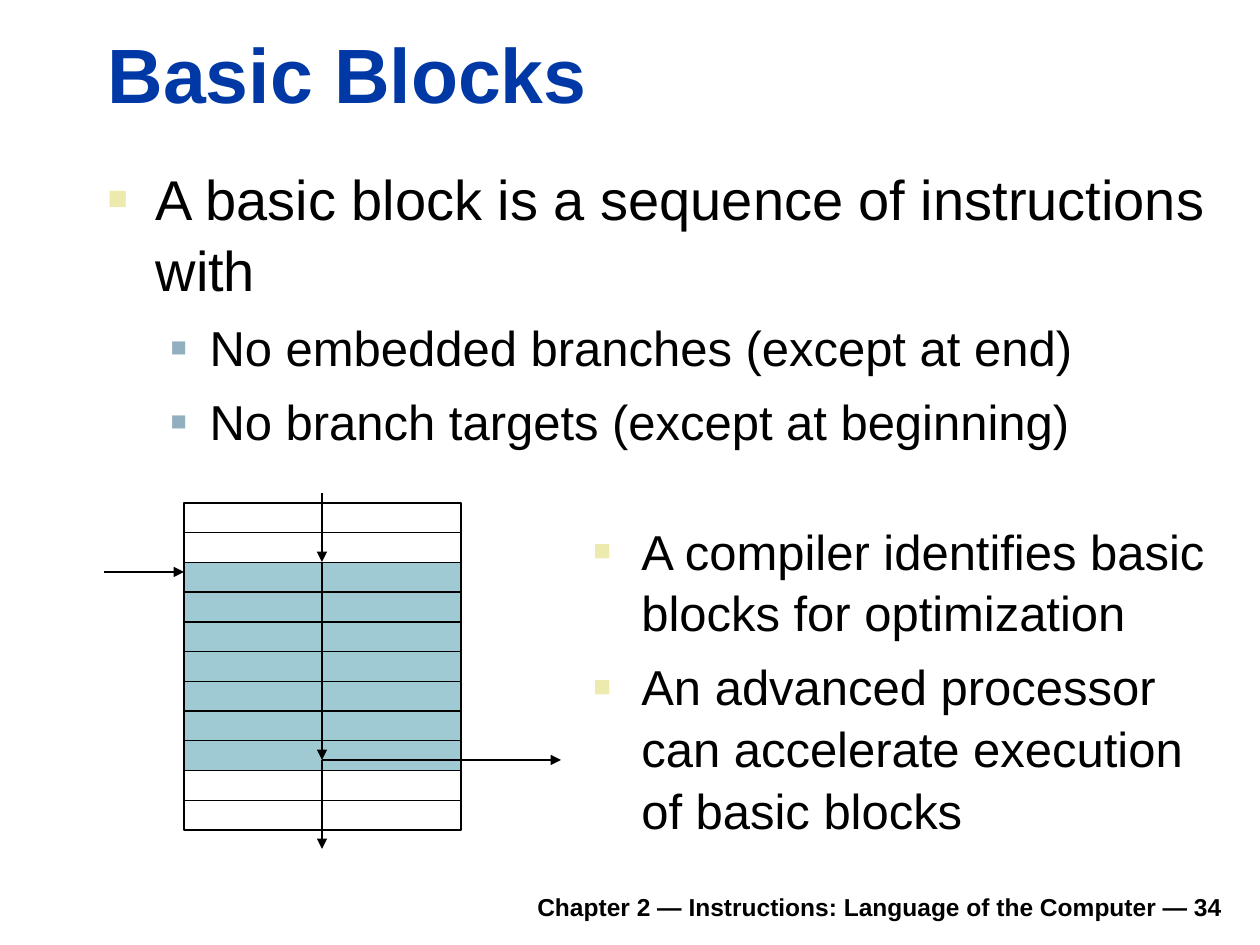
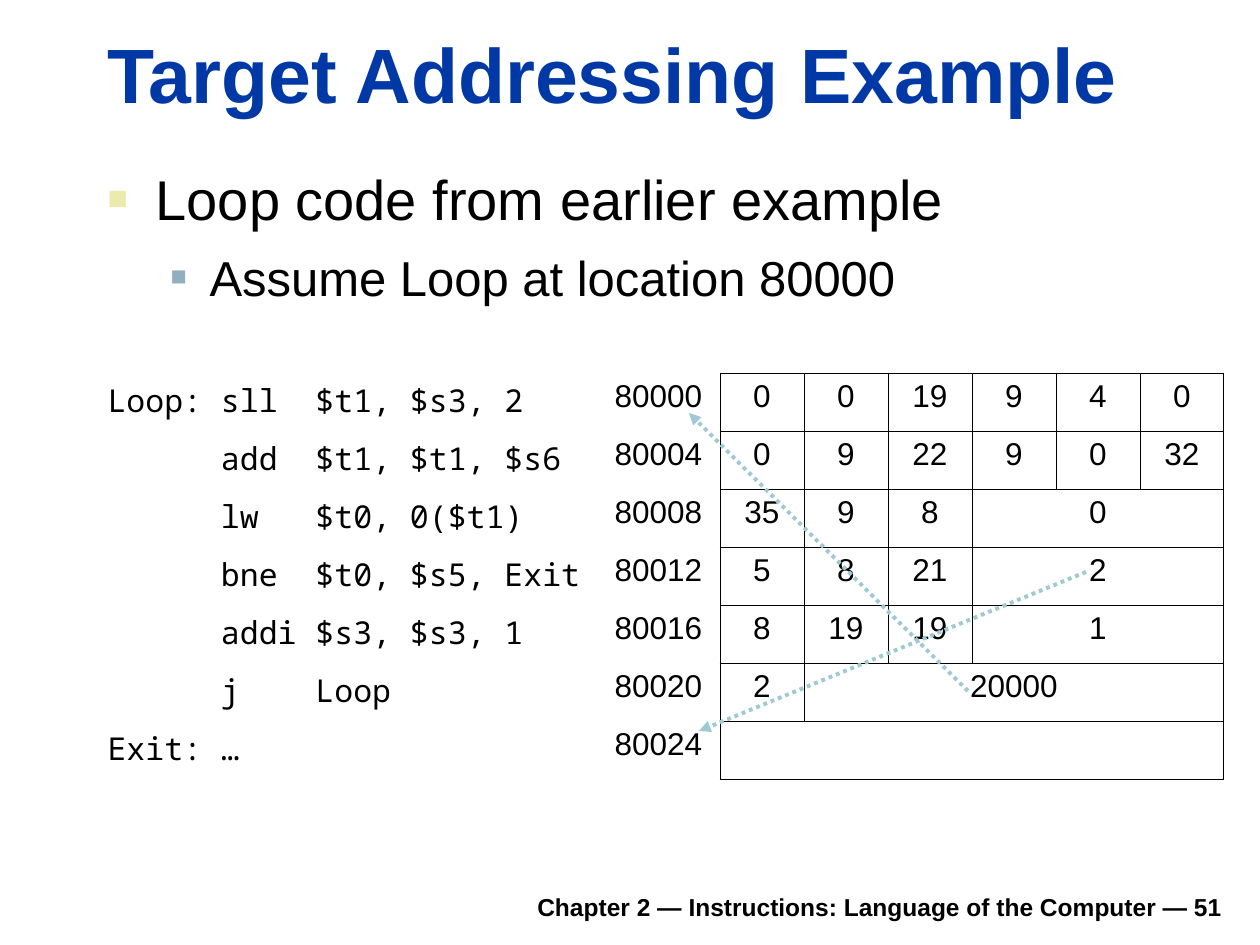
import pptx
import pptx.dml.color
import pptx.enum.dml
import pptx.enum.shapes
import pptx.enum.text
import pptx.oxml.ns
import pptx.util
from lxml import etree

RGBColor = pptx.dml.color.RGBColor
ALIGN = pptx.enum.text.PP_ALIGN
ANCHOR = pptx.enum.text.MSO_ANCHOR
qn = pptx.oxml.ns.qn

BLACK = RGBColor(0x00, 0x00, 0x00)
WHITE = RGBColor(0xFF, 0xFF, 0xFF)
TITLE_BLUE = RGBColor(0x00, 0x39, 0xA6)
TEAL = RGBColor(0x9F, 0xCA, 0xD3)
BULLET_YELLOW = RGBColor(0xEC, 0xEA, 0xAC)
BULLET_BLUE = RGBColor(0x91, 0xAF, 0xBF)

SANS = "Arial"
MONO = "Noto Sans Mono"
PX_PER_INCH = 126

# level: font size, space before, left margin px, indent px, bullet colour, bullet percent
LEVELS = [
    dict(size=32, before=8, margin=48, indent=-48, colour=BULLET_YELLOW, percent=60),
    dict(size=28, before=7, margin=102, indent=-39, colour=BULLET_BLUE, percent=55),
]
SIDE_LEVEL = LEVELS[0] | dict(size=28, before=7)


def px(length):
    return pptx.util.Emu(round(length * 914400 / PX_PER_INCH))


def child(parent, tag, **attributes):
    return etree.SubElement(parent, qn(tag), **attributes)


def write(paragraph, text, size=18, font=SANS, colour=BLACK, bold=False, align=ALIGN.LEFT):
    """Set the alignment and add one formatted run."""
    paragraph.alignment = align
    run = paragraph.add_run()
    run.text = text
    run.font.size = pptx.util.Pt(size)
    run.font.name = font
    run.font.bold = bold
    run.font.color.rgb = colour


def add_bullet(paragraph, style):
    properties = paragraph._p.get_or_add_pPr()
    properties.set("marL", str(px(style["margin"])))
    properties.set("indent", str(px(style["indent"])))
    bullet_colour = child(properties, "a:buClr")
    child(bullet_colour, "a:srgbClr", val=str(style["colour"]))
    child(properties, "a:buSzPct", val=str(style["percent"] * 1000))
    child(properties, "a:buFont", typeface=SANS)
    child(properties, "a:buChar", char="■")


def fill_list(frame, items):
    """Write (text, level number, level style) items as bulleted paragraphs."""
    for number, (text, level, style) in enumerate(items):
        paragraph = frame.add_paragraph() if number else frame.paragraphs[0]
        paragraph.level = level
        add_bullet(paragraph, style)
        paragraph.line_spacing = 1.05
        paragraph.space_before = pptx.util.Pt(style["before"] if number else 0)
        write(paragraph, text, size=style["size"])


def set_borders(cell, **colours):
    """Draw cell edges, given as lnL, lnR, lnT and lnB colours."""
    properties = cell._tc.get_or_add_tcPr()
    for position, edge in enumerate(("lnL", "lnR", "lnT", "lnB")):
        line = etree.Element(qn("a:" + edge), w=str(pptx.util.Pt(0.45)))
        solid = child(line, "a:solidFill")
        child(solid, "a:srgbClr", val=str(colours[edge]))
        properties.insert(position, line)


class Deck:
    def __init__(self):
        self.presentation = pptx.Presentation()
        self.presentation.slide_width = px(1260)
        self.presentation.slide_height = px(945)
        self.slide = None

    def new_slide(self, title, number, outline, outline_height):
        layout = self.presentation.slide_layouts[1]
        self.slide = self.presentation.slides.add_slide(layout)
        heading = self.place(self.slide.shapes.title, 95, 20, 1138, 105)
        heading.vertical_anchor = ANCHOR.BOTTOM
        write(heading.paragraphs[0], title, size=44, colour=TITLE_BLUE, bold=True)
        body = self.place(self.slide.placeholders[1], 95, 155, 1139, outline_height)
        fill_list(body, [(text, level, LEVELS[level]) for text, level in outline])
        footer = self.text_box(233, 879, 1002, 49)
        footer.vertical_anchor = ANCHOR.BOTTOM
        write(footer.paragraphs[0],
              f"Chapter 2 — Instructions: Language of the Computer — {number}",
              size=14, bold=True, align=ALIGN.RIGHT)

    def place(self, shape, left, top, width, height):
        """Move a text shape and return its wrapped text frame."""
        shape.left, shape.top = px(left), px(top)
        shape.width, shape.height = px(width), px(height)
        frame = shape.text_frame
        frame.word_wrap = True
        frame.auto_size = pptx.enum.text.MSO_AUTO_SIZE.NONE
        return frame

    def text_box(self, left, top, width, height):
        box = self.slide.shapes.add_textbox(0, 0, 0, 0)
        return self.place(box, left, top, width, height)

    def rectangle(self, left, top, width, height, fill=None):
        shape = self.slide.shapes.add_shape(
            pptx.enum.shapes.MSO_SHAPE.RECTANGLE,
            px(left), px(top), px(width), px(height))
        shape.shadow.inherit = False
        if fill is None:
            shape.fill.background()
        else:
            shape.fill.solid()
            shape.fill.fore_color.rgb = fill
        shape.line.color.rgb = BLACK
        shape.line.width = pptx.util.Pt(0.75)

    def arrow(self, start, end, colour=BLACK, width=1.5, dash=None):
        connector = self.slide.shapes.add_connector(
            pptx.enum.shapes.MSO_CONNECTOR.STRAIGHT, *map(px, start + end))
        connector.line.color.rgb = colour
        connector.line.width = pptx.util.Pt(width)
        if dash is not None:
            connector.line.dash_style = dash
        child(connector.line._get_or_add_ln(), "a:tailEnd", type="triangle")
        child(connector._element.spPr, "a:effectLst")

    def table(self, left, top, widths, row_height, rows):
        """Add (code, address, fields) rows; the last field spans the columns left over."""
        table = self.slide.shapes.add_table(
            len(rows), len(widths), px(left), px(top),
            px(sum(widths)), px(row_height * len(rows))).table
        table.first_row = table.horz_banding = False
        for column, width in zip(table.columns, widths):
            column.width = px(width)
        for y, (code, address, fields) in enumerate(rows):
            table.rows[y].height = px(row_height)
            texts = [code, address, *fields]
            for x in range(len(widths)):
                cell = table.cell(y, x)
                cell.fill.background()
                outer = BLACK if x > 1 else WHITE
                set_borders(cell, lnL=outer, lnT=outer, lnB=outer,
                            lnR=BLACK if x else WHITE)
                if x < len(texts) and texts[x]:
                    write(cell.text_frame.paragraphs[0], texts[x],
                          font=SANS if x else MONO,
                          align=ALIGN.CENTER if x > 1 else ALIGN.LEFT)
            if len(texts) < len(widths):
                table.cell(y, len(texts) - 1).merge(table.cell(y, len(widths) - 1))


def basic_blocks(deck):
    deck.new_slide("Basic Blocks", 34, [
        ("A basic block is a sequence of instructions with", 0),
        ("No embedded branches (except at end)", 1),
        ("No branch targets (except at beginning)", 1),
    ], 318)

    instructions, stack_top, stack_height = 11, 503, 327
    pitch = stack_height / instructions
    for i in range(instructions):
        in_block = 2 <= i <= 8
        deck.rectangle(184, stack_top + i * pitch, 277, pitch, TEAL if in_block else None)

    flow_x, block_entry, block_exit = 322, 562, 760
    for start, end in [
        ((flow_x, 493), (flow_x, block_entry)),
        ((flow_x, block_entry), (flow_x, block_exit)),
        ((flow_x, block_exit), (flow_x, 849)),
        ((flow_x, block_exit), (561, block_exit)),
        ((104, 572), (184, 572)),
    ]:
        deck.arrow(start, end)

    fill_list(deck.text_box(581, 512, 644, 328), [
        (text, 0, SIDE_LEVEL) for text in (
            "A compiler identifies basic blocks for optimization",
            "An advanced processor can accelerate execution of basic blocks")])


def target_addressing(deck):
    deck.new_slide("Target Addressing Example", 51, [
        ("Loop code from earlier example", 0),
        ("Assume Loop at location 80000", 1),
    ], 169)

    program = [
        ("Loop: sll  $t1, $s3, 2", ["0", "0", "19", "9", "4", "0"]),
        ("      add  $t1, $t1, $s6", ["0", "9", "22", "9", "0", "32"]),
        ("      lw   $t0, 0($t1)", ["35", "9", "8", "0"]),
        ("      bne  $t0, $s5, Exit", ["5", "8", "21", "2"]),
        ("      addi $s3, $s3, 1", ["8", "19", "19", "1"]),
        ("      j    Loop", ["2", "20000"]),
        ("Exit: …", [""]),
    ]
    rows = [(code, str(80000 + 4 * i), fields) for i, (code, fields) in enumerate(program)]
    deck.table(95, 373, [507, 118] + [84] * 6, 58, rows)

    jump_to_loop = ((968, 691), (689, 413))
    branch_to_exit = ((1086, 572), (699, 731))
    for start, end in (jump_to_loop, branch_to_exit):
        deck.arrow(start, end, colour=TEAL, width=2.25,
                   dash=pptx.enum.dml.MSO_LINE.ROUND_DOT)


def main():
    deck = Deck()
    basic_blocks(deck)
    target_addressing(deck)
    deck.presentation.save("out.pptx")


if __name__ == "__main__":
    main()
